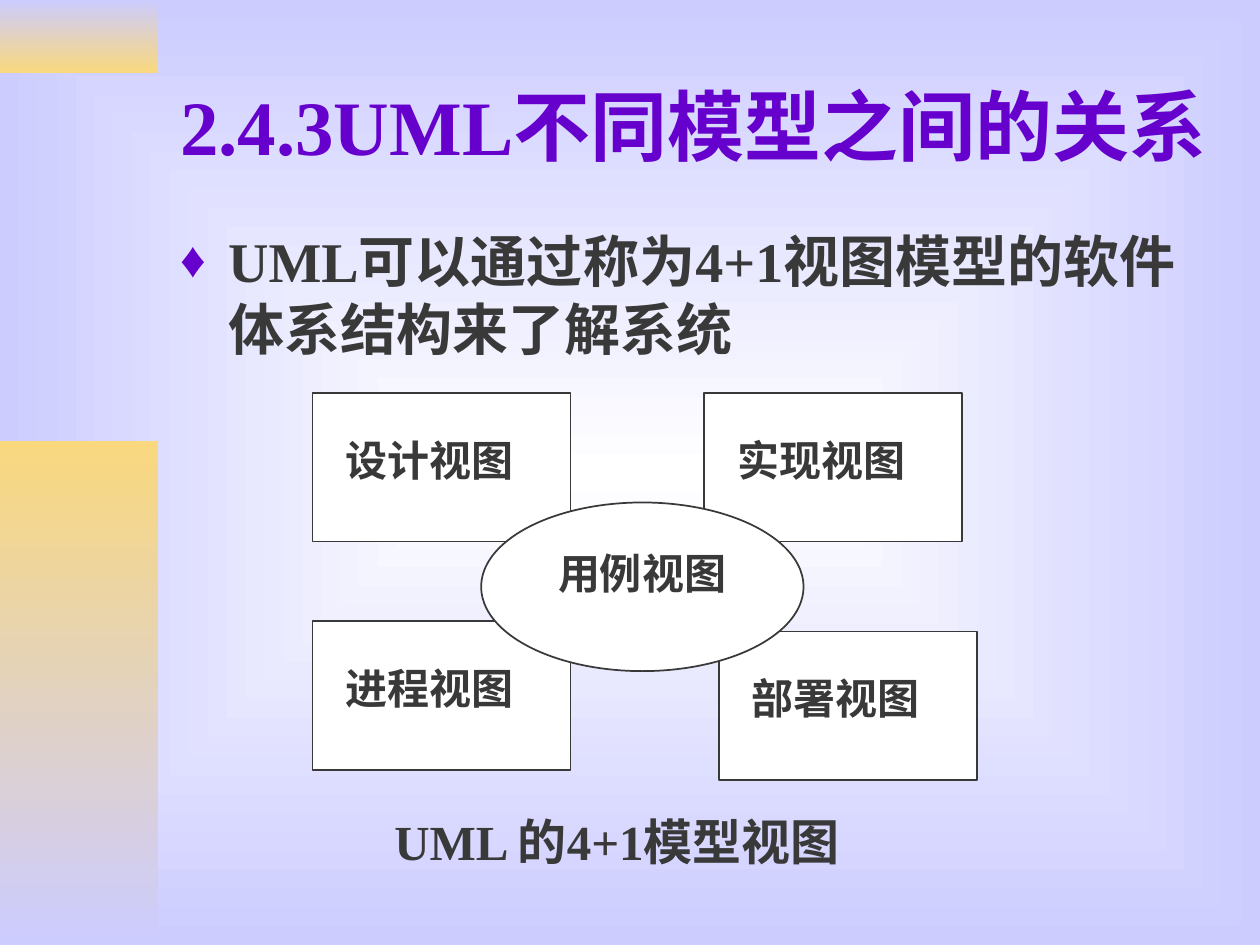
from lxml import etree
from pptx import Presentation
from pptx.dml.color import RGBColor
from pptx.enum import shapes, text
from pptx.oxml.ns import qn
from pptx.util import Cm, Pt

FONT = "Times New Roman"
PURPLE, DARK, WHITE = "6600CC", "393939", "FFFFFF"
LILAC, GOLD = "CCCCFF", "F9D87E"

# Content: places are in cm
TITLE = "2.4.3UML不同模型之间的关系"
BULLET = "UML可以通过称为4+1视图模型的软件体系结构来了解系统"
CAPTION = "UML 的4+1模型视图"
BANDS = [  # top, height, top colour, bottom colour
    (0, 1.47, LILAC, GOLD),
    (8.89, 10.16, GOLD, LILAC),
]
BAND_W = 3.18
VIEWS = [  # label, left, top
    ("设计视图", 6.3, 7.92),
    ("实现视图", 14.2, 7.92),
    ("进程视图", 6.3, 12.52),
    ("部署视图", 14.5, 12.73),
]
VIEW_W, VIEW_H = 5.2, 3
LABEL_DX, LABEL_DY, LABEL_W, LABEL_H = 0.41, 0.71, 4.2, 1.27


def rgb(color):
    return RGBColor.from_string(color)


def set_gradient(fill, first, last):
    fill.gradient()
    for stop, color in zip(fill.gradient_stops, (first, last)):
        stop.color.rgb = rgb(color)


def add_shape(slide, kind, x, y, w, h):
    sp = slide.shapes.add_shape(kind, Cm(x), Cm(y), Cm(w), Cm(h))
    sp.shadow.inherit = False
    return sp


def add_outlined(slide, kind, x, y, w, h):
    sp = add_shape(slide, kind, x, y, w, h)
    sp.fill.solid()
    sp.fill.fore_color.rgb = rgb(WHITE)
    sp.line.color.rgb = rgb(DARK)
    sp.line.width = Pt(1)


def add_text(slide, words, x, y, w, h, size, color=DARK, bullet=None):
    tf = slide.shapes.add_textbox(Cm(x), Cm(y), Cm(w), Cm(h)).text_frame
    tf.word_wrap = True
    tf.text = words
    p = tf.paragraphs[0]
    if bullet:
        pPr = p._p.get_or_add_pPr()
        pPr.set("marL", str(Cm(0.97)))
        pPr.set("indent", str(-Cm(0.97)))
        clr = etree.SubElement(pPr, qn("a:buClr"))
        etree.SubElement(clr, qn("a:srgbClr"), val=PURPLE)
        etree.SubElement(pPr, qn("a:buSzPct"), val="90000")
        etree.SubElement(pPr, qn("a:buFont"), typeface=FONT)
        etree.SubElement(pPr, qn("a:buChar"), char=bullet)
    f = p.runs[0].font
    f.name, f.size, f.bold = FONT, Pt(size), True
    f.color.rgb = rgb(color)
    return tf


def main():
    prs = Presentation()
    prs.slide_width, prs.slide_height = Cm(25.4), Cm(19.05)
    s = prs.slides.add_slide(prs.slide_layouts[6])

    # Background: white centre fading outwards
    set_gradient(s.background.fill, WHITE, LILAC)
    lin = s.element.find(".//" + qn("a:gradFill")).find(qn("a:lin"))
    path = etree.Element(qn("a:path"), path="rect")
    etree.SubElement(path, qn("a:fillToRect"),
                     {side: "50000" for side in "ltrb"})
    lin.getparent().replace(lin, path)

    # Bands at the left edge
    for top, height, first, last in BANDS:
        sp = add_shape(s, shapes.MSO_SHAPE.RECTANGLE, 0, top, BAND_W, height)
        set_gradient(sp.fill, first, last)
        sp.fill.gradient_angle = 270
        sp.line.fill.background()

    # Title and bullet
    tf = add_text(s, TITLE, 3.38, 0.84, 21.6, 3.35, 44, PURPLE)
    tf.vertical_anchor = text.MSO_ANCHOR.MIDDLE
    add_text(s, BULLET, 3.38, 4.45, 21.6, 3.68, 32, bullet="♦")

    # Four views around the use case view
    for label, x, y in VIEWS:
        add_outlined(s, shapes.MSO_SHAPE.RECTANGLE, x, y, VIEW_W, VIEW_H)
        add_text(s, label, x + LABEL_DX, y + LABEL_DY, LABEL_W, LABEL_H, 24)
    add_outlined(s, shapes.MSO_SHAPE.OVAL, 9.7, 10.13, 6.5, 3.4)
    add_text(s, "用例视图", 11, 10.92, 4.6, LABEL_H, 24)

    # Caption
    add_text(s, CAPTION, 7.7, 16.23, 13, 1.45, 28)

    prs.save("out.pptx")


if __name__ == "__main__":
    main()
